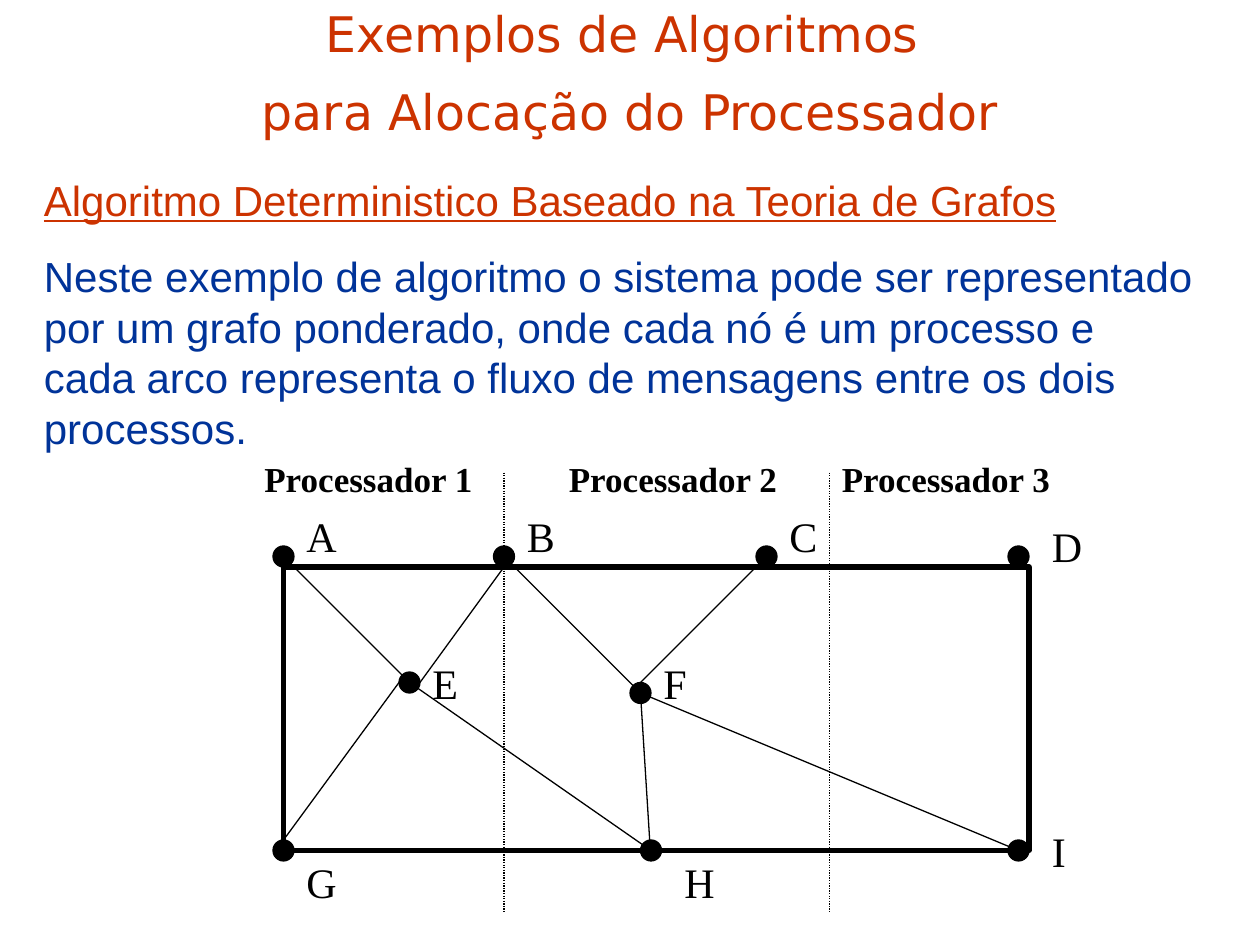
from lxml import etree
from pptx import Presentation
from pptx.dml.color import RGBColor
from pptx.enum.dml import MSO_LINE
from pptx.enum.shapes import MSO_CONNECTOR, MSO_SHAPE
from pptx.enum.text import PP_ALIGN
from pptx.oxml.ns import qn
from pptx.util import Pt

LEFT, CENTER = PP_ALIGN.LEFT, PP_ALIGN.CENTER
STRAIGHT = MSO_CONNECTOR.STRAIGHT
OVAL, RECTANGLE = MSO_SHAPE.OVAL, MSO_SHAPE.RECTANGLE
DOTTED = MSO_LINE.ROUND_DOT
RED = RGBColor(0xCC, 0x33, 0x00)
BLUE = RGBColor(0x00, 0x33, 0x99)
BLACK = RGBColor(0, 0, 0)

prs = Presentation()
prs.slide_width, prs.slide_height = Pt(720), Pt(540)
s = prs.slides.add_slide(prs.slide_layouts[6])


def add_text(paragraphs, x, y, w, h, size=24, font="Times New Roman",
             colors=(BLACK,), bold=False, underlines=(False,), align=LEFT,
             spacing=1.0, before=0):
    """Add a text box; colors and underlines hold one value per paragraph."""
    tf = s.shapes.add_textbox(Pt(x), Pt(y), Pt(w), Pt(h)).text_frame
    tf.word_wrap = True
    for i, (text, color, underline) in enumerate(zip(paragraphs, colors, underlines)):
        p = tf.paragraphs[0] if i == 0 else tf.add_paragraph()
        p.alignment = align
        p.line_spacing = spacing
        p.space_before = Pt(before if i else 0)
        r = p.add_run()
        r.text = text
        r.font.name = font
        r.font.size = Pt(size)
        r.font.bold = bold
        r.font.underline = underline
        r.font.color.rgb = color


def add_line(start, end, dash=None):
    c = s.shapes.add_connector(STRAIGHT, *(Pt(v) for v in (*start, *end)))
    c.line.color.rgb = BLACK
    c.line.width = Pt(0.75)
    if dash:
        c.line.dash_style = dash
    etree.SubElement(c.element.spPr, qn("a:effectLst"))


add_text(["Exemplos de Algoritmos ", "para Alocação do Processador"],
         0, 5, 720, 78.5, size=28, font="DejaVu Sans", colors=(RED, RED),
         underlines=(False, False), align=CENTER, spacing=0.8, before=17.5)
add_text(["Algoritmo Deterministico Baseado na Teoria de Grafos",
          "Neste exemplo de algoritmo o sistema pode ser representado por um "
          "grafo ponderado, onde cada nó é um processo e cada arco representa "
          "o fluxo de mensagens entre os dois processos."],
         18, 96, 672, 166, font="Arial", colors=(RED, BLUE),
         underlines=(True, False), before=15)

# Outer edges of the graph
frame = s.shapes.add_shape(RECTANGLE, Pt(162), Pt(324), Pt(426), Pt(162))
frame.shadow.inherit = False
frame.fill.background()
frame.line.color.rgb = BLACK
frame.line.width = Pt(3)

# Node centre, then label offset from it
RADIUS = 6
nodes = {
    "A": (162, 318, 6, -30),
    "B": (288, 318, 6, -30),
    "C": (438, 318, 6, -30),
    "D": (582, 318, 12, -24),
    "E": (234, 390, 6, -18),
    "F": (366, 396, 6, -24),
    "G": (162, 486, 6, 0),
    "H": (372, 486, 12, 0),
    "I": (582, 486, 12, -18),
}
for name, (x, y, dx, dy) in nodes.items():
    dot = s.shapes.add_shape(OVAL, Pt(x - RADIUS), Pt(y - RADIUS),
                             Pt(2 * RADIUS), Pt(2 * RADIUS))
    dot.shadow.inherit = False
    dot.fill.solid()
    dot.fill.fore_color.rgb = BLACK
    dot.line.color.rgb = BLACK
    dot.line.width = Pt(0.75)
    add_text([name], x + dx, y + dy, 60, 36)

# Processor boundaries and headings
for x in (288, 474):
    add_line((x, 270), (x, 522), dash=DOTTED)
for i, x in enumerate((144, 318, 474), start=1):
    add_text([f"Processador {i}"], x, 258, 144, 31.5, size=20, bold=True)

# Inner edges of the graph
for start, end in [
    ((162, 318), (234, 390)),  # A-E
    ((228, 390), (162, 480)),  # E-G
    ((240, 390), (288, 324)),  # E-B
    ((234, 390), (372, 486)),  # E-H
    ((288, 318), (366, 396)),  # B-F
    ((366, 390), (438, 318)),  # F-C
    ((366, 396), (582, 486)),  # F-I
    ((366, 396), (372, 492)),  # F-H
]:
    add_line(start, end)

prs.save("out.pptx")
